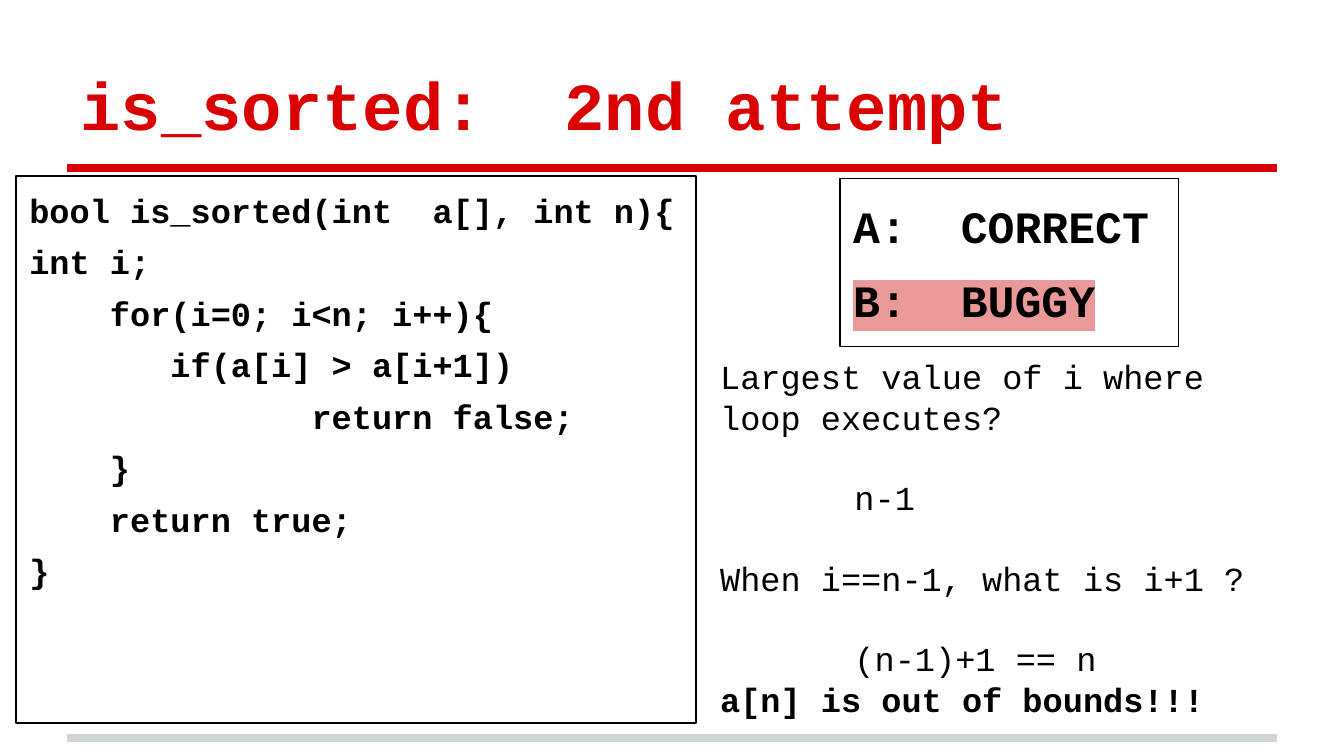
from lxml import etree
from pptx import Presentation
from pptx.dml.color import RGBColor
from pptx.enum.shapes import MSO_CONNECTOR, MSO_SHAPE
from pptx.enum.text import MSO_ANCHOR, MSO_AUTO_SIZE, PP_ALIGN
from pptx.oxml.ns import qn
from pptx.util import Inches, Pt

RED, BLACK, GRAY, PINK = "DA0002", "000000", "CFD4D4", "EA9999"


def color(value):
    return RGBColor.from_string(value)


def write_text(shape, lines, size, font_color=BLACK, bold=True, gaps=(), anchor=MSO_ANCHOR.TOP):
    """Fill a shape with lines; gaps holds the space before each one, in points."""
    frame = shape.text_frame
    frame.word_wrap = True
    frame.auto_size = MSO_AUTO_SIZE.NONE
    frame.vertical_anchor = anchor
    frame.margin_left = frame.margin_right = Inches(0.1)
    frame.margin_top = frame.margin_bottom = Inches(0.1)
    frame.text = "\n".join(lines)
    for index, paragraph in enumerate(frame.paragraphs):
        paragraph.alignment = PP_ALIGN.LEFT
        paragraph.space_before = Pt(gaps[index] if gaps else 0)
        if paragraph.text.startswith("\t"):
            tabs = etree.SubElement(paragraph._p.get_or_add_pPr(), qn("a:tabLst"))
            etree.SubElement(tabs, qn("a:tab"), pos=str(Inches(1)), algn="l")
        for run in paragraph.runs:
            run.font.name = "Courier New"
            run.font.size = Pt(size)
            run.font.bold = bold
            run.font.color.rgb = color(font_color)


# Widescreen slide, 16:9
presentation = Presentation()
presentation.slide_width = Inches(10)
presentation.slide_height = Inches(10) * 9 // 16
slide = presentation.slides.add_slide(presentation.slide_layouts[5])

# Rules under the title and at the foot
for y, line_color in ((5.49, GRAY), (1.25, RED)):
    rule = slide.shapes.add_connector(
        MSO_CONNECTOR.STRAIGHT, Inches(0.5), Inches(y), Inches(9.5), Inches(y))
    rule.line.color.rgb = color(line_color)
    rule.line.width = Pt(4)
    etree.SubElement(rule.element.spPr, qn("a:effectLst"))

# Title
title = slide.shapes.title
title.left, title.top = Inches(0.5), Inches(0.23)
title.width, title.height = Inches(9), Inches(0.94)
write_text(title, ["is_sorted:  2nd attempt"], 36, RED, anchor=MSO_ANCHOR.BOTTOM)

# Outlined boxes for the code and the answers
boxes = []
for left, top, width, height in ((0.12, 1.31, 5.06, 4.07), (6.25, 1.33, 2.52, 1.25)):
    box = slide.shapes.add_shape(
        MSO_SHAPE.RECTANGLE, Inches(left), Inches(top), Inches(width), Inches(height))
    box.shadow.inherit = False
    box.fill.background()
    box.line.color.rgb = color(BLACK)
    box.line.width = Pt(0.75)
    boxes.append(box)
code_box, answer_box = boxes

# Code
code = [
    "bool is_sorted(int  a[], int n){",
    "int i;",
    "    for(i=0; i<n; i++){",
    "       if(a[i] > a[i+1])",
    "              return false;",
    "    }",
    "    return true;",
    "}",
]
write_text(code_box, code, 18, gaps=[0] + [6] * (len(code) - 1))

# Answers, with the right one highlighted
write_text(answer_box, ["A:  CORRECT", "B:  BUGGY"], 24, gaps=[0, 10.8],
           anchor=MSO_ANCHOR.MIDDLE)
properties = answer_box.text_frame.paragraphs[1].runs[0].font._element
highlight = etree.Element(qn("a:highlight"))
etree.SubElement(highlight, qn("a:srgbClr"), val=PINK)
properties.find(qn("a:latin")).addprevious(highlight)

# Explanation, with a blank line's height between steps
explanation = slide.shapes.add_textbox(Inches(5.26), Inches(2.55), Inches(4.53), Inches(2.91))
steps = [
    "Largest value of i where loop executes?",
    "\tn-1",
    "When i==n-1, what is i+1 ?",
    "\t(n-1)+1 == n",
    "a[n] is out of bounds!!!",
]
write_text(explanation, steps, 18, bold=False, gaps=[0, 21.6, 21.6, 21.6, 0])
explanation.text_frame.paragraphs[-1].runs[0].font.bold = True

presentation.save("out.pptx")
